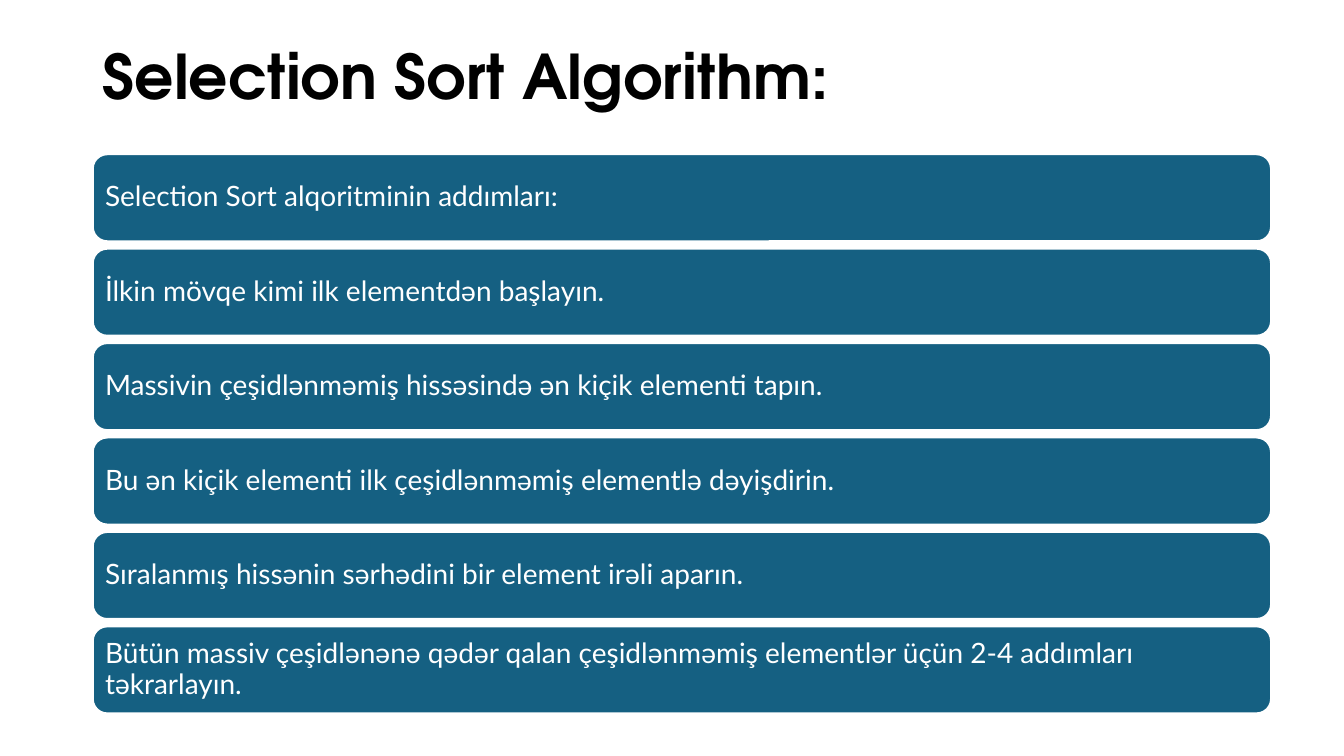
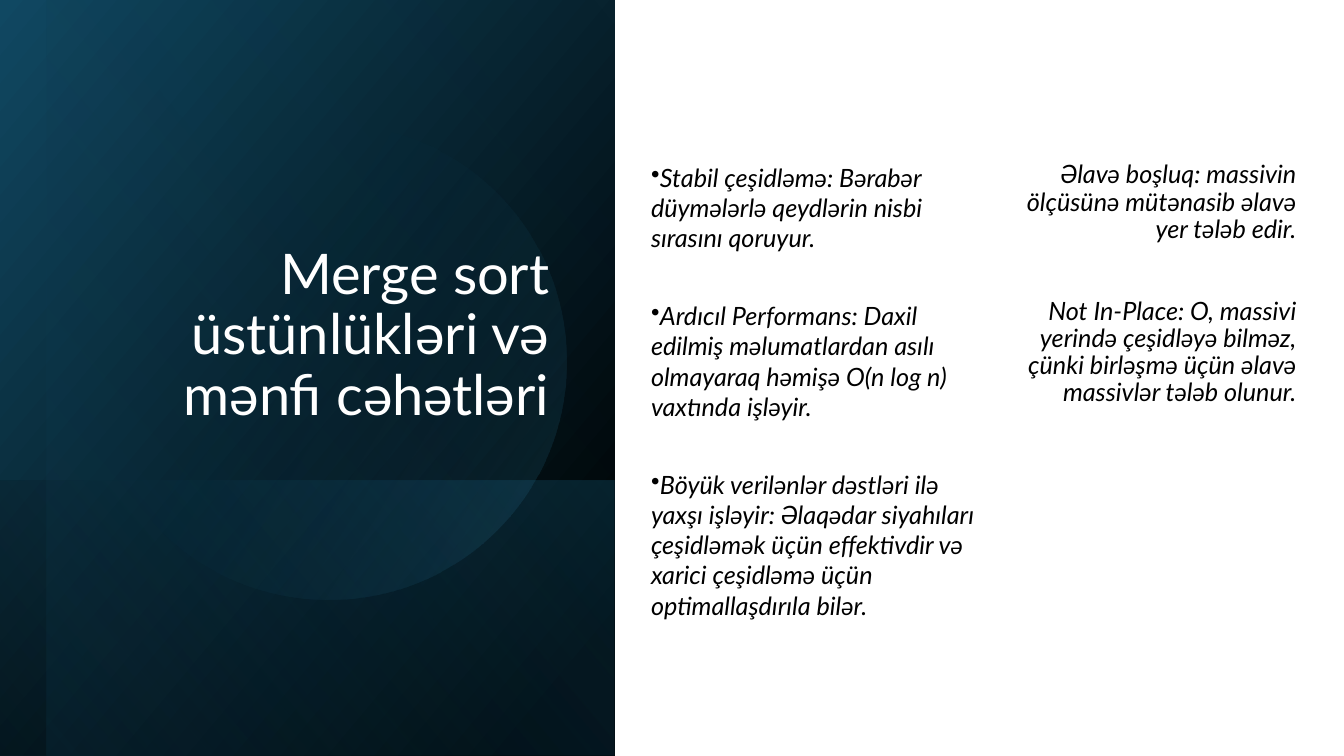
from lxml import etree
from pptx import Presentation
from pptx.dml.color import RGBColor
from pptx.enum.shapes import MSO_SHAPE as SHAPE
from pptx.enum.text import MSO_ANCHOR as ANCHOR, PP_ALIGN as ALIGN
from pptx.oxml.ns import qn
from pptx.util import Inches, Pt

BLACK, WHITE, TEAL, NAVY, SKY = "000000", "FFFFFF", "156082", "104862", "46B1E1"
BODY_FONT, DISPLAY_FONT = "Lato", "TeX Gyre Adventor"


def rgb(value):
    return RGBColor.from_string(value)


class Deck:
    """Boxes are (left, top, width, height) in percent of the slide."""

    def __init__(self):
        self.prs = Presentation()
        self.prs.slide_width, self.prs.slide_height = Inches(13.333), Inches(7.5)
        self.s = None

    def new_slide(self):
        self.s = self.prs.slides.add_slide(self.prs.slide_layouts[6])

    def place(self, box):
        sizes = (self.prs.slide_width, self.prs.slide_height) * 2
        return [round(size * share / 100) for size, share in zip(sizes, box)]

    def set_text(self, sp, texts, size, color=BLACK, font=BODY_FONT, bold=False, italic=False,
                 align=ALIGN.LEFT, anchor=ANCHOR.TOP, spacing=0.9, after=0, bullet=None):
        tf = sp.text_frame
        tf.word_wrap, tf.vertical_anchor = True, anchor
        for i, text in enumerate(texts):
            p = tf.add_paragraph() if i else tf.paragraphs[0]
            p.text, p.alignment, p.line_spacing = text, align, spacing
            p.space_after = Pt(after)
            p.font.name, p.font.size, p.font.color.rgb = font, Pt(size), rgb(color)
            p.font.bold, p.font.italic = bold, italic
            if bullet:
                # Bullets must come before the paragraph's default run properties
                mark = etree.Element(qn("a:buChar"), char=bullet)
                p._p.pPr.find(qn("a:defRPr")).addprevious(mark)

    def text(self, box, texts, size, **style):
        self.set_text(self.s.shapes.add_textbox(*self.place(box)), texts, size, **style)

    def title(self, box, text, size, **style):
        self.text(box, [text], size, **style)

    def shape(self, kind, box):
        sp = self.s.shapes.add_shape(kind, *self.place(box))
        sp.shadow.inherit = False
        return sp

    def card(self, box, text):
        sp = self.shape(SHAPE.ROUNDED_RECTANGLE, box)
        sp.fill.solid()
        sp.fill.fore_color.rgb = rgb(TEAL)
        sp.line.color.rgb, sp.line.width = rgb(WHITE), Pt(1.5)
        tf = sp.text_frame
        tf.margin_left = tf.margin_right = Inches(0.08)
        self.set_text(sp, [text], 20, color=WHITE, anchor=ANCHOR.MIDDLE)

    def glow(self, kind, box, angle, stops):
        """Gradient shape; angle is clockwise, stops are (percent, colour, opacity)."""
        sp = self.shape(kind, box)
        sp.line.fill.background()
        sp.fill.gradient()
        sp.fill.gradient_angle = 360 - angle
        for stop, (position, color, _) in zip(sp.fill.gradient_stops, stops):
            stop.position, stop.color.rgb = position / 100, rgb(color)
        colors = sp._element.spPr.iter(qn("a:srgbClr"))
        for node, (_, _, opacity) in zip(colors, stops):
            etree.SubElement(node, qn("a:alpha"), val=str(opacity * 1000))


def steps_slide(deck):
    deck.new_slide()
    deck.title((6.9, 5.2, 86.25, 10.67), "Selection Sort Algorithm:", 44,
               font=DISPLAY_FONT, bold=True, anchor=ANCHOR.MIDDLE)
    steps = [
        "Selection Sort alqoritminin addımları:",
        "İlkin mövqe kimi ilk elementdən başlayın.",
        "Massivin çeşidlənməmiş hissəsində ən kiçik elementi tapın.",
        "Bu ən kiçik elementi ilk çeşidlənməmiş elementlə dəyişdirin.",
        "Sıralanmış hissənin sərhədini bir element irəli aparın.",
        "Bütün massiv çeşidlənənə qədər qalan çeşidlənməmiş elementlər üçün 2-4 addımları "
        "təkrarlayın.",
    ]
    for row, step in enumerate(steps):
        deck.card((6.9, 20.4 + row * 12.49, 87.68, 11.53), step)


def pros_cons_slide(deck):
    deck.new_slide()
    panel = 45.75
    deck.glow(SHAPE.RECTANGLE, (0, 0, panel, 100), 220, [(8, BLACK, 100), (100, NAVY, 100)])
    deck.glow(SHAPE.RECTANGLE, (0, 63.5, panel, 36.5), 140, [(2, TEAL, 29), (100, BLACK, 30)])
    deck.glow(SHAPE.RECTANGLE, (3.5, 0, panel - 3.5, 100), 140, [(0, BLACK, 0), (99, TEAL, 11)])
    deck.glow(SHAPE.OVAL, (6.75, 16.4, 35.4, 62.93), 31.6, [(39, TEAL, 0), (100, SKY, 15)])
    deck.title((5.4, 13.07, 36.22, 44.13), "Merge sort üstünlükləri və mənfi cəhətləri", 40,
               color=WHITE, align=ALIGN.RIGHT, anchor=ANCHOR.BOTTOM)
    deck.text((73.58, 20.8, 23.62, 46.27), [
        "Əlavə boşluq: massivin ölçüsünə mütənasib əlavə yer tələb edir.",
        "Not In-Place: O, massivi yerində çeşidləyə bilməz, çünki birləşmə üçün əlavə "
        "massivlər tələb olunur.",
    ], 18, italic=True, align=ALIGN.RIGHT, after=39)
    deck.text((47.7, 20.8, 25.8, 62.4), [
        "Stabil çeşidləmə: Bərabər düymələrlə qeydlərin nisbi sırasını qoruyur.",
        "Ardıcıl Performans: Daxil edilmiş məlumatlardan asılı olmayaraq həmişə O(n log n) "
        "vaxtında işləyir.",
        "Böyük verilənlər dəstləri ilə yaxşı işləyir: Əlaqədar siyahıları çeşidləmək üçün "
        "effektivdir və xarici çeşidləmə üçün optimallaşdırıla bilər.",
    ], 18, italic=True, spacing=1.0, after=34, bullet="•")


def main():
    deck = Deck()
    steps_slide(deck)
    pros_cons_slide(deck)
    deck.prs.save("out.pptx")


if __name__ == "__main__":
    main()
